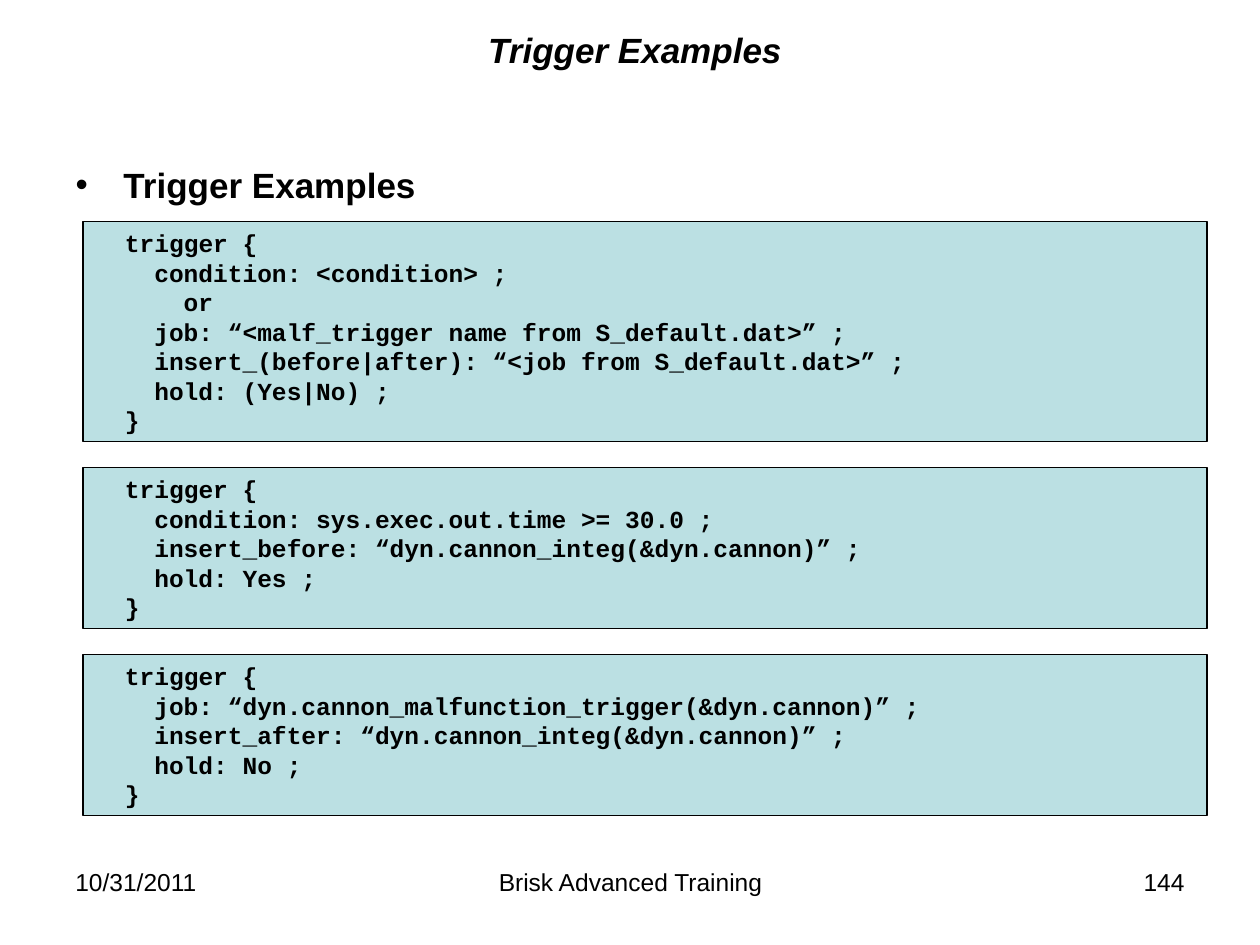
from dataclasses import dataclass

from pptx import Presentation
from pptx.dml.color import RGBColor
from pptx.enum.shapes import MSO_SHAPE
from pptx.enum.text import MSO_ANCHOR, MSO_AUTO_SIZE, PP_ALIGN
from pptx.util import Inches, Pt

LEFT, CENTER, RIGHT = PP_ALIGN.LEFT, PP_ALIGN.CENTER, PP_ALIGN.RIGHT
TOP, MIDDLE = MSO_ANCHOR.TOP, MSO_ANCHOR.MIDDLE
GROW, FIXED = MSO_AUTO_SIZE.SHAPE_TO_FIT_TEXT, MSO_AUTO_SIZE.NONE
RECTANGLE = MSO_SHAPE.RECTANGLE


@dataclass(frozen=True)
class Theme:
    ink: RGBColor = RGBColor(0x00, 0x00, 0x00)
    panel: RGBColor = RGBColor(0xBB, 0xE0, 0xE3)
    font: str = "Arial"
    code_font: str = "Courier New"
    heading_size: Pt = Pt(20)
    small_size: Pt = Pt(14)
    code_pitch: Pt = Pt(16.9)
    code_column: Pt = Pt(8.4)
    outline: Pt = Pt(0.75)


THEME = Theme()
PANEL_GAP = Inches(0.21)
PANEL_PADDING = Inches(0.1)

EXAMPLES = [
    [
        (2, "trigger {"),
        (4, "condition: <condition> ;"),
        (6, "or"),
        (4, "job: “<malf_trigger name from S_default.dat>” ;"),
        (4, "insert_(before|after): “<job from S_default.dat>” ;"),
        (4, "hold: (Yes|No) ;"),
        (2, "}"),
    ],
    [
        (2, "trigger {"),
        (4, "condition: sys.exec.out.time >= 30.0 ;"),
        (4, "insert_before: “dyn.cannon_integ(&dyn.cannon)” ;"),
        (4, "hold: Yes ;"),
        (2, "}"),
    ],
    [
        (2, "trigger {"),
        (4, "job: “dyn.cannon_malfunction_trigger(&dyn.cannon)” ;"),
        (4, "insert_after: “dyn.cannon_integ(&dyn.cannon)” ;"),
        (4, "hold: No ;"),
        (2, "}"),
    ],
]


def write(para, text, *, size=THEME.small_size, font=THEME.font, bold=False,
          italic=False, align=LEFT, margin=0, hanging=0, pitch=None):
    para.alignment = align
    if pitch:
        para.line_spacing = pitch
    properties = para._p.get_or_add_pPr()
    properties.set("marL", str(int(margin)))
    properties.set("indent", str(-int(hanging)))
    span = para.add_run()
    span.text = text
    span.font.name = font
    span.font.size = size
    span.font.bold = bold
    span.font.italic = italic
    span.font.color.rgb = THEME.ink


def place(shape, box):
    shape.left, shape.top, shape.width, shape.height = box


def prepare_frame(shape, anchor=TOP, auto_size=FIXED):
    frame = shape.text_frame
    frame.word_wrap = True
    frame.vertical_anchor = anchor
    frame.auto_size = auto_size
    return frame


def add_title(page, box, text):
    title = page.shapes.title
    place(title, box)
    frame = prepare_frame(title, MIDDLE)
    write(frame.paragraphs[0], text, size=THEME.heading_size, bold=True,
          italic=True, align=CENTER)


def add_body(page, box, text):
    body = page.placeholders[1]
    place(body, box)
    frame = prepare_frame(body)
    write(frame.paragraphs[0], text, size=THEME.heading_size, bold=True,
          margin=Inches(0.38), hanging=Inches(0.38))


def add_code_panel(page, box, lines):
    panel = page.shapes.add_shape(RECTANGLE, *box)
    panel.shadow.inherit = False
    panel.fill.solid()
    panel.fill.fore_color.rgb = THEME.panel
    panel.line.color.rgb = THEME.ink
    panel.line.width = THEME.outline
    frame = prepare_frame(panel, auto_size=GROW)
    for index, (column, text) in enumerate(lines):
        para = frame.add_paragraph() if index else frame.paragraphs[0]
        write(para, text, font=THEME.code_font, bold=True,
              margin=column * THEME.code_column, pitch=THEME.code_pitch)


def add_code_stack(page, left, top, width, examples):
    for lines in examples:
        height = PANEL_PADDING + len(lines) * THEME.code_pitch
        add_code_panel(page, (left, top, width, height), lines)
        top += height + PANEL_GAP


def add_footer(page, top, height):
    entries = [
        (0.5, 2.33, "10/31/2011", LEFT),
        (3.42, 3.17, "Brisk Advanced Training", CENTER),
        (7.17, 2.33, "144", RIGHT),
    ]
    for left, width, text, align in entries:
        label = page.shapes.add_textbox(Inches(left), top, Inches(width), height)
        write(prepare_frame(label).paragraphs[0], text, align=align)


def main():
    deck = Presentation()
    deck.slide_width, deck.slide_height = Inches(10), Inches(7.5)
    page = deck.slides.add_slide(deck.slide_layouts[1])
    add_footer(page, Inches(6.83), Inches(0.52))
    add_title(page, (Inches(1), Inches(0.17), Inches(8.08), Inches(0.45)),
              "Trigger Examples")
    add_body(page, (Inches(0.5), Inches(1.25), Inches(9), Inches(5.45)),
             "Trigger Examples")
    add_code_stack(page, Inches(0.66), Inches(1.76), Inches(8.92), EXAMPLES)
    deck.save("out.pptx")


if __name__ == "__main__":
    main()
